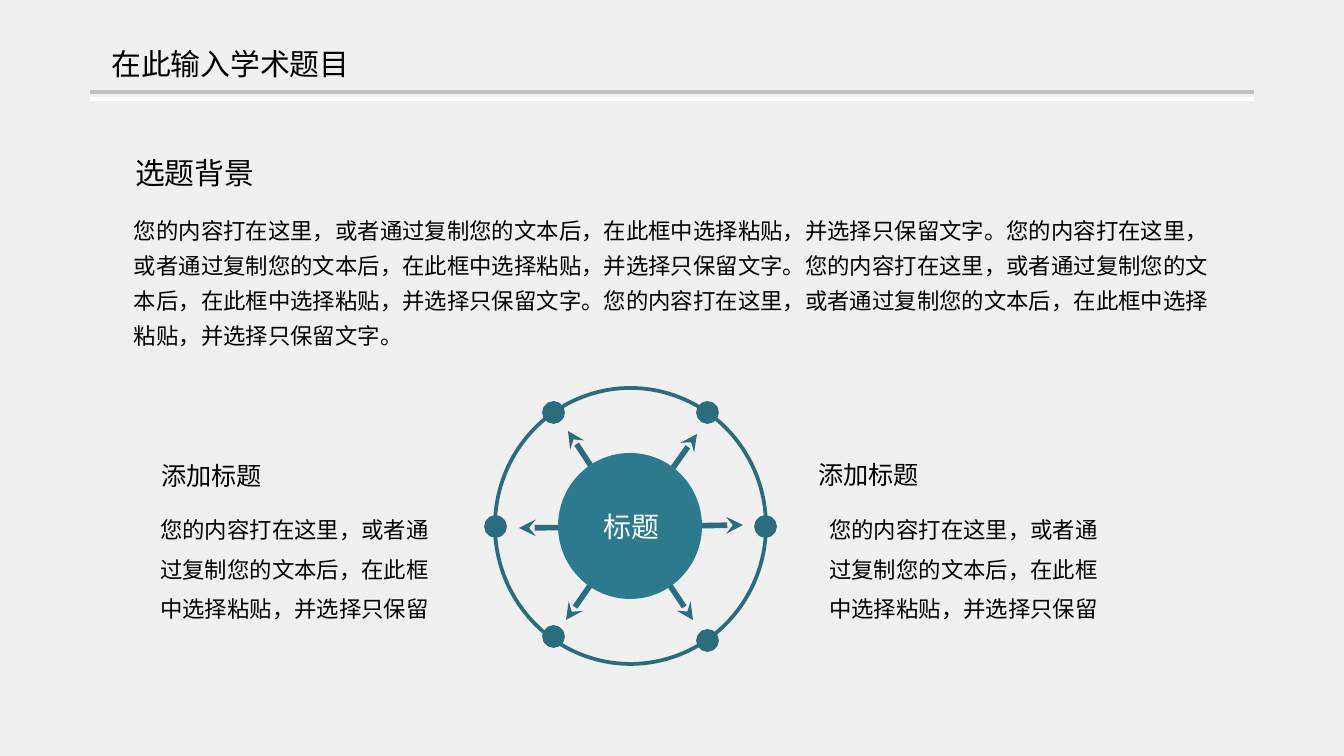
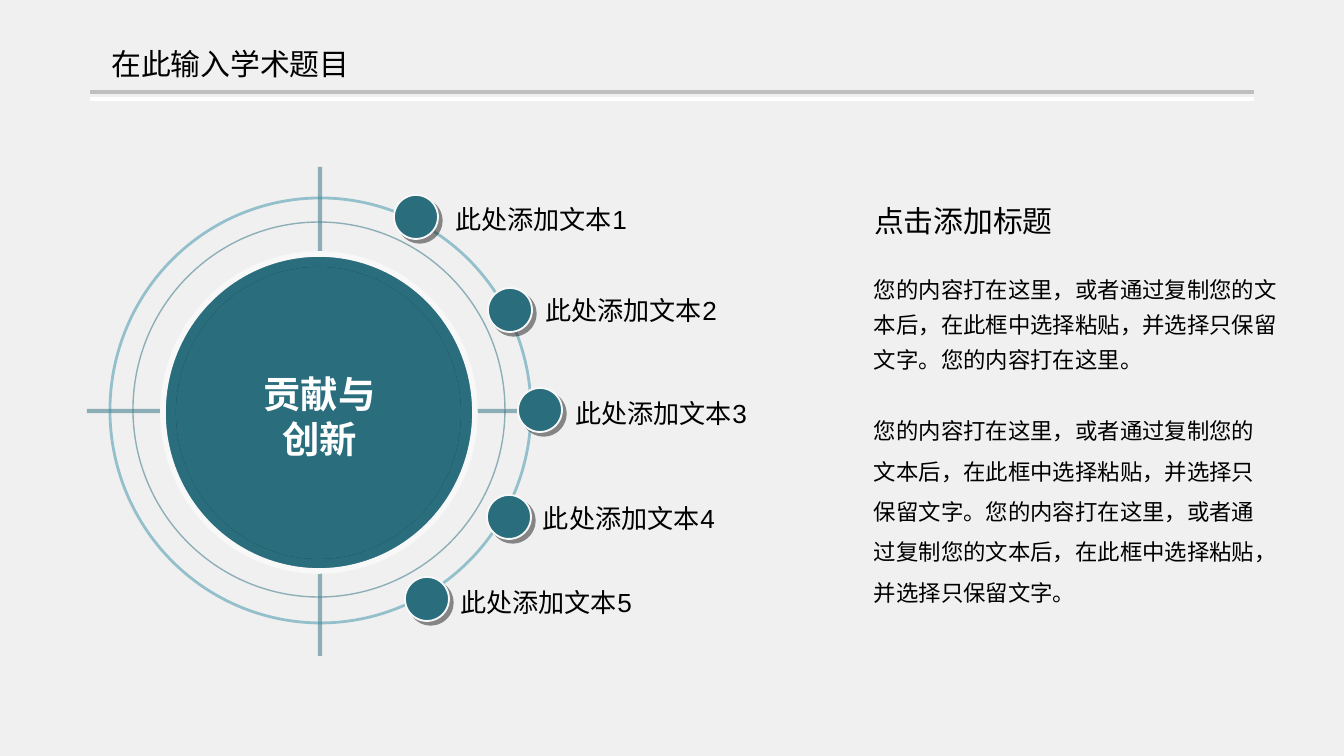
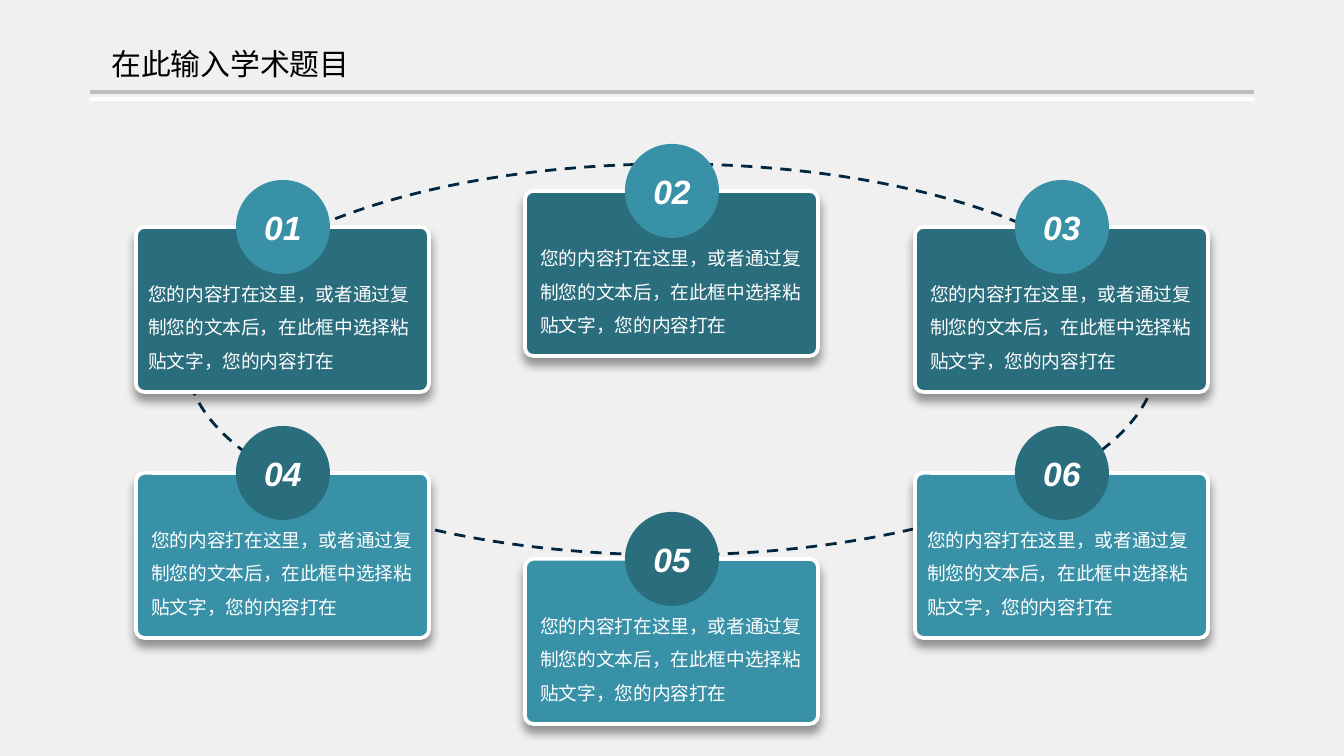
from lxml import etree
from pptx import Presentation
from pptx import util as u
from pptx.dml.color import RGBColor
from pptx.enum import dml, shapes, text
from pptx.oxml.ns import qn

SCALE = 914400 / 134.4
BACK = RGBColor(0xF0, 0xF0, 0xF0)
RULE = RGBColor(0xBF, 0xBF, 0xBF)
WHITE = RGBColor(0xFF, 0xFF, 0xFF)
OFFWHITE = RGBColor(0xF8, 0xF8, 0xF8)
BLACK = RGBColor(0, 0, 0)
SHADE = RGBColor(0x1C, 0x1C, 0x1C)
TEAL = RGBColor(0x2A, 0x6D, 0x7D)
HUB = RGBColor(0x2C, 0x7A, 0x8E)
SKY = RGBColor(0x38, 0x91, 0xA7)
NAVY = RGBColor(0, 0x26, 0x40)

CJK = "Noto Sans CJK SC"
OVAL = shapes.MSO_SHAPE.OVAL
CARD = shapes.MSO_SHAPE.ROUNDED_RECTANGLE
LEFT, CENTER, RIGHT = text.PP_ALIGN.LEFT, text.PP_ALIGN.CENTER, text.PP_ALIGN.RIGHT
TOP, MIDDLE = text.MSO_ANCHOR.TOP, text.MSO_ANCHOR.MIDDLE
INSETS = (13, 7, 13, 7)
TIGHT = (11, 5, 11, 5)

TITLE = "在此输入学术题目"
START = "您的内容打在这里"
PASTE = START + "，或者通过复制您的文本后，在此框中选择粘贴，并选择只保留"
SENTENCE = PASTE + "文字。"
CARD_TEXT = START + "，或者通过复制您的文本后，在此框中选择粘贴文字，您的内容打在"


def px(n):
    return u.Emu(round(n * SCALE))


def child(parent, tag, **attrs):
    return etree.SubElement(parent, qn(tag), {k: str(v) for k, v in attrs.items()})


def write(sp, txt, size=12, font=CJK, color=BLACK, bold=False, italic=False,
          align=LEFT, anchor=TOP, spacing=None, insets=INSETS, wrap=True):
    tf = sp.text_frame
    tf.word_wrap = wrap
    tf.auto_size = text.MSO_AUTO_SIZE.NONE if wrap else text.MSO_AUTO_SIZE.SHAPE_TO_FIT_TEXT
    tf.vertical_anchor = anchor
    tf.margin_left, tf.margin_top, tf.margin_right, tf.margin_bottom = map(px, insets)
    p = tf.paragraphs[0]
    p.alignment = align
    p.line_spacing = spacing
    r = p.add_run()
    r.text = txt
    r.font.size = u.Pt(size)
    r.font.bold, r.font.italic = bold, italic
    r.font.color.rgb = color
    r.font.name = font
    child(r._r.get_or_add_rPr(), "a:ea", typeface=CJK)


def label(s, x, y, w, h, txt, **fmt):
    write(s.shapes.add_textbox(px(x), px(y), px(w), px(h)), txt, **fmt)


def stroke(line, color, width, alpha=None):
    line.color.rgb = color
    line.width = u.Pt(width)
    if alpha:
        clr = line._get_or_add_ln().find(".//" + qn("a:srgbClr"))
        child(clr, "a:alpha", val=alpha * 1000)


def cast_shadow(sp, color, alpha, blur, dist, angle):
    effects = sp._element.spPr.find(qn("a:effectLst"))
    outer = child(effects, "a:outerShdw", blurRad=u.Pt(blur), dist=u.Pt(dist),
                  dir=angle * 60000, algn="ctr", rotWithShape=0)
    clr = child(outer, "a:srgbClr", val=color)
    child(clr, "a:alpha", val=alpha * 1000)


def shape(s, kind, x, y, w, h, fill=None, line=None, shadow=None):
    sp = s.shapes.add_shape(kind, px(x), px(y), px(w), px(h))
    sp.shadow.inherit = False
    if fill is None:
        sp.fill.background()
    else:
        sp.fill.solid()
        sp.fill.fore_color.rgb = fill
    if line:
        stroke(sp.line, *line)
    else:
        sp.line.fill.background()
    if shadow:
        cast_shadow(sp, *shadow)
    return sp


def segment(s, x1, y1, x2, y2, color, width, alpha=None, arrow=False):
    cn = s.shapes.add_connector(shapes.MSO_CONNECTOR.STRAIGHT, px(x1), px(y1), px(x2), px(y2))
    stroke(cn.line, color, width, alpha)
    if arrow:
        child(cn.line._get_or_add_ln(), "a:tailEnd", type="stealth")
    child(cn._element.spPr, "a:effectLst")


def new_slide(prs):
    s = prs.slides.add_slide(prs.slide_layouts[6])
    s.background.fill.solid()
    s.background.fill.fore_color.rgb = BACK
    for y, color in ((92, RULE), (99, WHITE)):
        segment(s, 90, y, 1254, y, color, 2.25)
    label(s, 86, 0, 289, 127, TITLE, size=16, font="Montserrat", align=CENTER, anchor=MIDDLE)
    return s


def side_note(s, title_x, title_y, body_x):
    label(s, title_x, title_y, 163, 54, "添加标题", size=13.5, wrap=False)
    label(s, body_x, 497, 302, 132, PASTE, align=RIGHT, spacing=u.Pt(21.1))


def bead(s, x, y):
    shape(s, OVAL, x, y, 44, 44, TEAL, (OFFWHITE, 1), (SHADE, 50, 0, 2.8, 45))
    shape(s, OVAL, x + 3, y + 3, 38, 38, TEAL)


def numbered_card(s, number, x, y, fill, badge_fill, inset):
    sp = shape(s, CARD, x, y, 293, 165, fill, (WHITE, 2), (BLACK, 40, 5, 4, 90))
    sp.adjustments[0] = 0.05
    write(sp, CARD_TEXT, size=10, color=WHITE, anchor=MIDDLE, spacing=1.5,
          insets=(inset, 32, inset, 7))
    badge = shape(s, OVAL, x + 100, y - 47, 94, 94, badge_fill)
    write(badge, number, size=18, font="Arial", color=WHITE, bold=True, italic=True,
          align=CENTER, anchor=MIDDLE)


def background_slide(prs):
    s = new_slide(prs)
    shape(s, OVAL, 495, 388, 271, 276, line=(TEAL, 2))
    for x, y in ((708, 413), (554, 413), (496, 527), (766, 527), (708, 641), (554, 637)):
        shape(s, OVAL, x - 10, y - 10, 19, 19, TEAL, (TEAL, 2))
    for x, y in ((697, 434), (743, 525), (568, 431), (519, 528), (566, 620), (693, 620)):
        segment(s, 631, 527, x, y, TEAL, 3, arrow=True)
    label(s, 121, 202, 1102, 192, SENTENCE * 4, spacing=1.3)
    label(s, 122, 148, 148, 50, "选题背景", size=16, wrap=False)
    shape(s, OVAL, 558, 453, 144, 146, HUB)
    write(shape(s, shapes.MSO_SHAPE.RECTANGLE, 591, 503, 93, 47, HUB), "标题",
          size=15, color=WHITE, wrap=False)
    side_note(s, 805, 452, 809)
    side_note(s, 148, 453, 140)


def contribution_slide(prs):
    s = new_slide(prs)
    segment(s, 87, 411, 552, 411, TEAL, 2.25, 50)
    segment(s, 320, 167, 320, 656, TEAL, 2.25, 50)
    shape(s, OVAL, 133, 222, 372, 375, line=(TEAL, 0.75, 50))
    shape(s, OVAL, 110, 198, 421, 425, line=(SKY, 1.5, 50))
    shape(s, OVAL, 163, 254, 312, 317, TEAL, (OFFWHITE, 3))
    shape(s, OVAL, 176, 267, 285, 292, TEAL, shadow=(BLACK, 50, 0, 0, 0))
    write(shape(s, OVAL, 228, 323, 183, 187, TEAL), "贡献与创新", size=20, font="Arial",
          color=WHITE, bold=True, align=CENTER, anchor=MIDDLE, insets=(0, 7, 0, 7))
    items = (((394, 195), (444, 198)), ((488, 288), (534, 289)), ((518, 388), (564, 392)),
             ((487, 495), (532, 497)), ((405, 577), (449, 581)))
    for n, (spot, (x, y)) in enumerate(items, 1):
        bead(s, *spot)
        label(s, x, y, 273, 43, f"此处添加文本{n}", size=14, font="Arial",
              anchor=MIDDLE, insets=TIGHT)
    label(s, 863, 263, 445, 152, SENTENCE + START + "。", spacing=1.3, insets=TIGHT)
    label(s, 863, 399, 423, 255, SENTENCE * 2, spacing=1.5, insets=TIGHT)
    label(s, 863, 198, 212, 47, "点击添加标题", size=16, insets=TIGHT)


def cards_slide(prs):
    s = new_slide(prs)
    orbit = shape(s, OVAL, 187, 164, 970, 391, line=(NAVY, 1.5))
    orbit.line.dash_style = dml.MSO_LINE.DASH
    upper, lower = (TEAL, SKY), (SKY, TEAL)
    for number, x, y, fills, inset in (
            ("01", 136, 227, upper, 10), ("04", 136, 473, lower, 13),
            ("05", 525, 559, lower, 13), ("02", 525, 191, upper, 13),
            ("03", 915, 227, upper, 13), ("06", 915, 473, lower, 10)):
        numbered_card(s, number, x, y, *fills, inset)


def main():
    prs = Presentation()
    prs.slide_width, prs.slide_height = px(1344), px(756)
    background_slide(prs)
    contribution_slide(prs)
    cards_slide(prs)
    prs.save("out.pptx")


if __name__ == "__main__":
    main()
